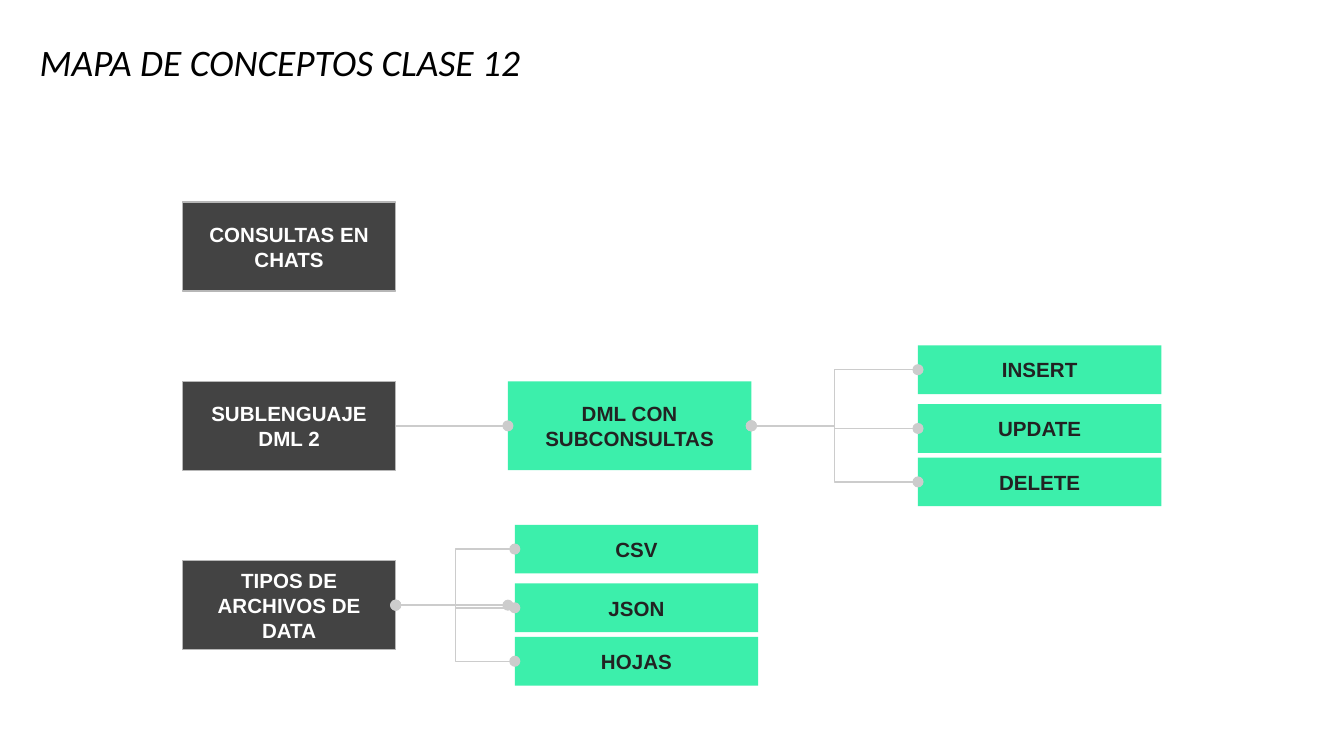
from lxml.etree import SubElement
from pptx import Presentation
from pptx.dml.color import RGBColor
from pptx.enum.shapes import MSO_CONNECTOR, MSO_SHAPE
from pptx.enum.text import MSO_ANCHOR, PP_ALIGN
from pptx.oxml.ns import qn
from pptx.util import Cm, Pt

DARK, GREEN, WHITE, INK = "434343", "3CEFAB", "FFFFFF", "222222"
BORDER, LINK = "B7B7B7", "CCCCCC"
TOPIC_LEFT, TOPIC_WIDTH, TOPIC_HEIGHT = 3.45, 4.03, 1.68
DETAIL_LEFT, DETAIL_WIDTH = 9.6, 4.6
LEAF_HEIGHT, LEAF_OFFSETS = 0.92, (-0.68, 0.43, 1.44)
ROW_TOP, ROW_PITCH = 3.82, 3.39


def color(value):
    """Turn a hex string into a colour."""
    return RGBColor.from_string(value)


def add_title(page, text, left, top, width, height):
    """Place the italic slide title at the bottom of its box."""
    box = page.shapes.add_textbox(Cm(left), Cm(top), Cm(width), Cm(height))
    frame = box.text_frame
    frame.word_wrap = True
    frame.vertical_anchor = MSO_ANCHOR.BOTTOM
    frame.text = text
    para = frame.paragraphs[0]
    para.line_spacing = 0.9
    font = para.runs[0].font
    font.name, font.size, font.italic = "Calibri", Pt(20), True
    font.color.rgb = color("000000")


def add_concept(page, text, left, top, width, height, fill=GREEN, ink=INK, border=None):
    """Place one concept box with a centred bold label."""
    box = page.shapes.add_shape(MSO_SHAPE.RECTANGLE, Cm(left), Cm(top), Cm(width), Cm(height))
    box.shadow.inherit = False
    box.fill.solid()
    box.fill.fore_color.rgb = color(fill)
    if border:
        box.line.color.rgb = color(border)
        box.line.width = Pt(0.75)
    else:
        box.line.fill.background()
    frame = box.text_frame
    frame.margin_left = frame.margin_right = Cm(0.25)
    frame.margin_top = frame.margin_bottom = Cm(0.25)
    frame.vertical_anchor = MSO_ANCHOR.MIDDLE
    frame.text = text
    para = frame.paragraphs[0]
    para.alignment = PP_ALIGN.CENTER
    font = para.runs[0].font
    font.name, font.size, font.bold = "Arial", Pt(11), True
    font.color.rgb = color(ink)


def add_link(page, start, end, ends=("headEnd", "tailEnd")):
    """Join two points with an elbow line that has round ends."""
    link = page.shapes.add_connector(MSO_CONNECTOR.ELBOW, *map(Cm, start + end))
    link.line.color.rgb = color(LINK)
    link.line.width = Pt(0.75)
    properties = link.line._get_or_add_ln()
    for name in ends:
        SubElement(properties, qn(f"a:{name}"), type="oval")
    SubElement(link._element.spPr, qn("a:effectLst"))


def add_topic(page, text, top):
    """Place a dark topic box in the first column."""
    add_concept(page, text, TOPIC_LEFT, top, TOPIC_WIDTH, TOPIC_HEIGHT, DARK, WHITE, BORDER)


def add_branch(page, labels, parent_right, left, top):
    """Fan out leaf boxes from the parent whose row starts at top."""
    start = (parent_right, top + TOPIC_HEIGHT / 2)
    for label, offset in zip(labels, LEAF_OFFSETS):
        leaf_top = top + offset
        add_concept(page, label, left, leaf_top, DETAIL_WIDTH, LEAF_HEIGHT)
        add_link(page, start, (left, leaf_top + LEAF_HEIGHT / 2))


def add_concept_map(page, top):
    """Place the three topic rows with their details and branches."""
    queries, language, files = (top + row * ROW_PITCH for row in range(3))
    topic_right = TOPIC_LEFT + TOPIC_WIDTH
    add_topic(page, "CONSULTAS EN CHATS", queries)
    add_topic(page, "SUBLENGUAJE DML 2", language)
    add_topic(page, "TIPOS DE ARCHIVOS DE DATA", files)
    add_concept(page, "DML CON SUBCONSULTAS", DETAIL_LEFT, language, DETAIL_WIDTH, TOPIC_HEIGHT)
    for row in (language, files):
        middle = row + TOPIC_HEIGHT / 2
        add_link(page, (topic_right, middle), (DETAIL_LEFT, middle), ("tailEnd",))
    add_branch(page, ("INSERT", "UPDATE", "DELETE"), DETAIL_LEFT + DETAIL_WIDTH, 17.35, language)
    add_branch(page, ("CSV", "JSON", "HOJAS"), topic_right, 9.73, files)


def main():
    """Build and save the deck."""
    deck = Presentation()
    deck.slide_width, deck.slide_height = Cm(25.4), Cm(14.29)
    page = deck.slides.add_slide(deck.slide_layouts[6])
    add_title(page, "MAPA DE CONCEPTOS CLASE 12", 0.5, 0.56, 20.98, 1.17)
    add_concept_map(page, ROW_TOP)
    deck.save("out.pptx")


if __name__ == "__main__":
    main()
